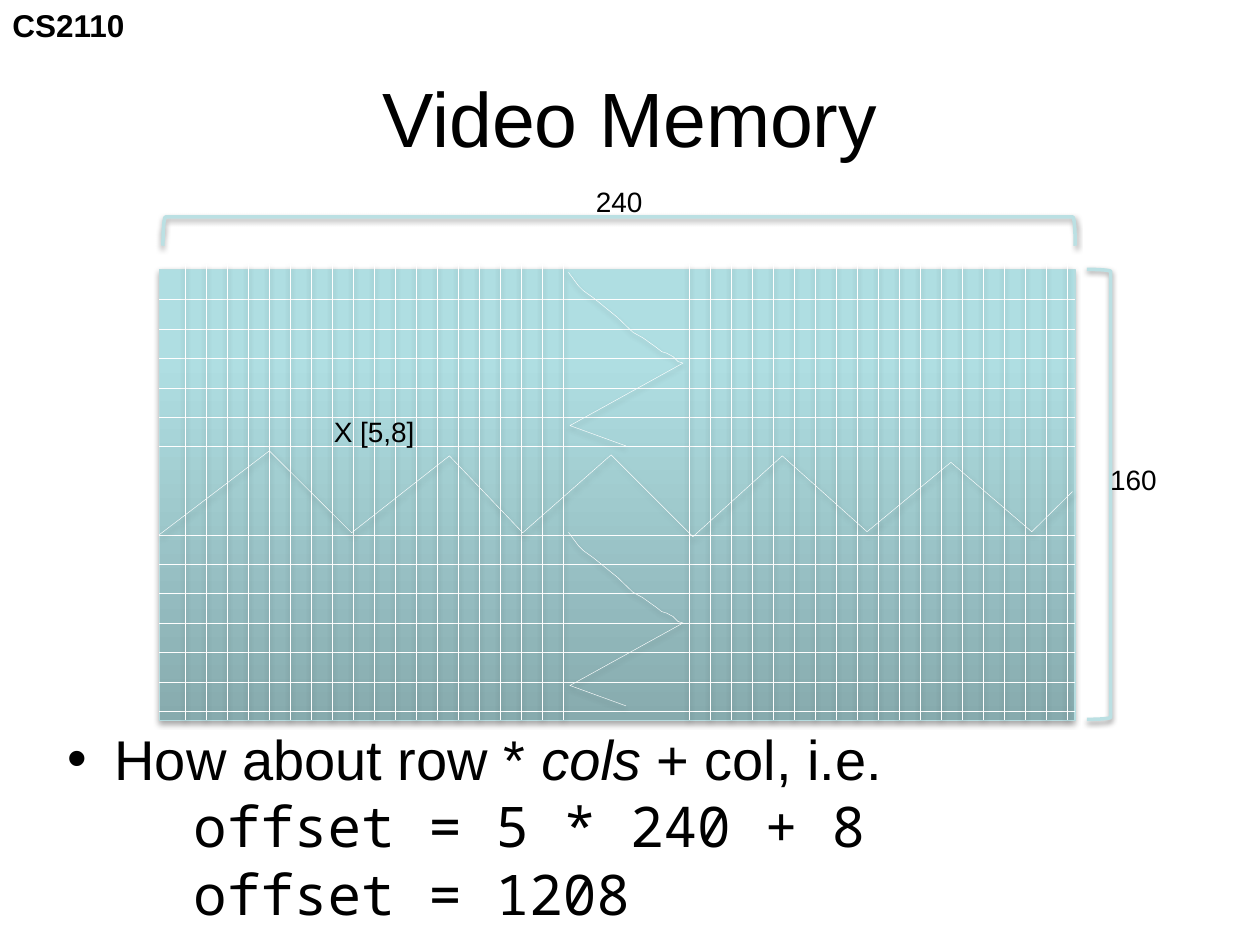
from dataclasses import dataclass

from lxml import etree
from pptx import Presentation
from pptx.dml.color import RGBColor
from pptx.enum import shapes, text
from pptx.oxml import ns
from pptx.util import Cm, Pt


@dataclass(frozen=True)
class Theme:
    font: str = "Arial"
    code_font: str = "Noto Sans Mono"
    ink: str = "000000"
    grid: str = "FFFFFF"
    bracket: str = "BBE0E3"
    border: str = "B6DCDF"
    screen_dark: str = "87ABAE"
    screen_light: str = "AFDEE2"
    title_size: int = 44
    body_size: int = 32
    course_size: int = 18
    label_size: int = 16


THEME = Theme()

# Screen and grid, in centimetres
LEFT, TOP, WIDTH, HEIGHT = 3.21, 5.43, 18.46, 9.09
RIGHT, BOTTOM = LEFT + WIDTH, TOP + HEIGHT
FIRST_ROW, LAST_ROW, ROW_STEPS, SKIPPED_ROWS = 6.04, 14.34, 14, (6, 7)
FIRST_COLUMN, LAST_COLUMN, COLUMN_STEPS = 3.73, 21.51, 42
SKIPPED_COLUMNS = range(19, 24)

# Break marks where rows and columns are left out
ROW_BREAK = [(3.2, 10.79), (5.43, 9.09), (7.09, 10.74), (9.06, 9.19),
             (10.54, 10.74), (12.32, 9.17), (13.97, 10.82), (15.77, 9.19),
             (17.48, 10.72), (19.17, 9.32), (20.8, 10.72), (21.62, 9.91)]
COLUMN_BREAK = [(0, 0), (0.2, 0.27), (0.3, 0.37), (0.51, 0.52), (0.99, 0.91),
                (1.3, 1.21), (1.5, 1.32), (1.78, 1.52), (1.88, 1.6),
                (1.98, 1.63), (2.11, 1.7), (2.21, 1.8), (2.31, 1.83),
                (0.03, 3.09), (1.16, 3.5)]
COLUMN_BREAK_STARTS = [(11.46, 5.49), (11.46, 10.73)]


def color(value):
    return RGBColor.from_string(value)


def place(shape, left, top, width, height):
    shape.left, shape.top = Cm(left), Cm(top)
    shape.width, shape.height = Cm(width), Cm(height)


def add_run(paragraph, words, size, font=THEME.font, bold=None, italic=None):
    run = paragraph.add_run()
    run.text = words
    run.font.name, run.font.size = font, Pt(size)
    run.font.bold, run.font.italic = bold, italic
    run.font.color.rgb = color(THEME.ink)


def style_line(shape, line_color, width, distance=1.6, opacity=38):
    """Set the outline and a soft shadow straight below."""
    shape.line.color.rgb = color(line_color)
    shape.line.width = Pt(width)
    properties = shape._element.spPr
    for old in properties.findall(ns.qn("a:effectLst")):
        properties.remove(old)
    effects = etree.SubElement(properties, ns.qn("a:effectLst"))
    shadow = etree.SubElement(
        effects, ns.qn("a:outerShdw"), blurRad=str(Pt(3.1)),
        dist=str(Pt(distance)), dir="5400000", rotWithShape="0")
    tint = etree.SubElement(shadow, ns.qn("a:srgbClr"), val="000000")
    etree.SubElement(tint, ns.qn("a:alpha"), val=str(opacity * 1000))


def add_label(slide, words, box, size=THEME.label_size, bold=None,
              align=text.PP_ALIGN.LEFT, wrap=True):
    label = slide.shapes.add_textbox(*map(Cm, box))
    label.text_frame.word_wrap = wrap
    paragraph = label.text_frame.paragraphs[0]
    paragraph.alignment = align
    add_run(paragraph, words, size, bold=bold)


def add_screen(slide):
    screen = slide.shapes.add_shape(
        shapes.MSO_SHAPE.RECTANGLE, *map(Cm, (LEFT, TOP, WIDTH, HEIGHT)))
    screen.fill.gradient()
    screen.fill.gradient_angle = 90
    dark, light = screen.fill.gradient_stops
    dark.color.rgb, dark.position = color(THEME.screen_dark), 0
    light.color.rgb, light.position = color(THEME.screen_light), 0.8
    style_line(screen, THEME.border, 0.75, distance=1.8, opacity=35)


def add_grid_line(slide, *ends):
    line = slide.shapes.add_connector(
        shapes.MSO_CONNECTOR.STRAIGHT, *map(Cm, ends))
    style_line(line, THEME.grid, 0.25)


def grid_positions(first, last, steps, skipped):
    return [first + (last - first) * index / steps
            for index in range(steps + 1) if index not in skipped]


def add_grid(slide):
    for y in grid_positions(FIRST_ROW, LAST_ROW, ROW_STEPS, SKIPPED_ROWS):
        add_grid_line(slide, LEFT, y, RIGHT, y)
    for x in grid_positions(FIRST_COLUMN, LAST_COLUMN, COLUMN_STEPS,
                            SKIPPED_COLUMNS):
        add_grid_line(slide, x, TOP - 0.1, x, BOTTOM)


def add_bracket(slide, box, rotation):
    bracket = slide.shapes.add_shape(
        shapes.MSO_SHAPE.LEFT_BRACKET, *map(Cm, box))
    bracket.rotation = rotation
    bracket.fill.background()
    style_line(bracket, THEME.bracket, 2)


def add_break(slide, points, start=(0, 0)):
    corners = [(Cm(start[0] + x), Cm(start[1] + y)) for x, y in points]
    builder = slide.shapes.build_freeform(*corners[0])
    builder.add_line_segments(corners[1:], close=False)
    outline = builder.convert_to_shape()
    outline.fill.background()
    style_line(outline, THEME.grid, 0.25)


def fill_title(slide):
    title = slide.shapes.title
    place(title, 1.27, 0.76, 22.86, 3.18)
    title.text_frame.vertical_anchor = text.MSO_ANCHOR.MIDDLE
    paragraph = title.text_frame.paragraphs[0]
    paragraph.alignment = text.PP_ALIGN.CENTER
    add_run(paragraph, "Video Memory", THEME.title_size)


def fill_body(slide):
    body = slide.placeholders[1]
    place(body, 1.1, 14.48, 22.86, 4.32)
    body.text_frame.auto_size = text.MSO_AUTO_SIZE.NONE
    paragraph = body.text_frame.paragraphs[0]
    # Tab stops set the code lines in
    paragraph._p.get_or_add_pPr().set("defTabSz", str(Cm(2.54)))
    add_run(paragraph, "How about row * ", THEME.body_size)
    add_run(paragraph, "cols", THEME.body_size, italic=True)
    add_run(paragraph, " + col, i.e.", THEME.body_size)
    for code in ("offset = 5 * 240 + 8", "offset = 1208"):
        paragraph.add_line_break()
        add_run(paragraph, "\t" + code, THEME.body_size, THEME.code_font)


def main():
    presentation = Presentation()
    presentation.slide_width, presentation.slide_height = Cm(25.4), Cm(19.05)
    slide = presentation.slides.add_slide(presentation.slide_layouts[1])

    # Heading and text
    add_label(slide, "CS2110", (0, 0, 2.79, 1.02), THEME.course_size,
              bold=True, wrap=False)
    fill_title(slide)
    fill_body(slide)

    # Screen with its grid and dimensions
    add_screen(slide)
    add_grid(slide)
    add_bracket(slide, (21.91, TOP, 0.48, 9.07), 180)
    add_bracket(slide, (12.19, -4.53, 0.58, 18.39), 90)
    add_label(slide, "160", (22.13, 9.2, 2.64, 0.94))
    add_label(slide, "240", (11.16, 3.59, 2.64, 0.94),
              align=text.PP_ALIGN.CENTER)
    add_label(slide, "X [5,8]", (6.48, 8.24, 2.41, 0.94))

    # Break marks
    add_break(slide, ROW_BREAK)
    for start in COLUMN_BREAK_STARTS:
        add_break(slide, COLUMN_BREAK, start)

    presentation.save("out.pptx")


if __name__ == "__main__":
    main()
